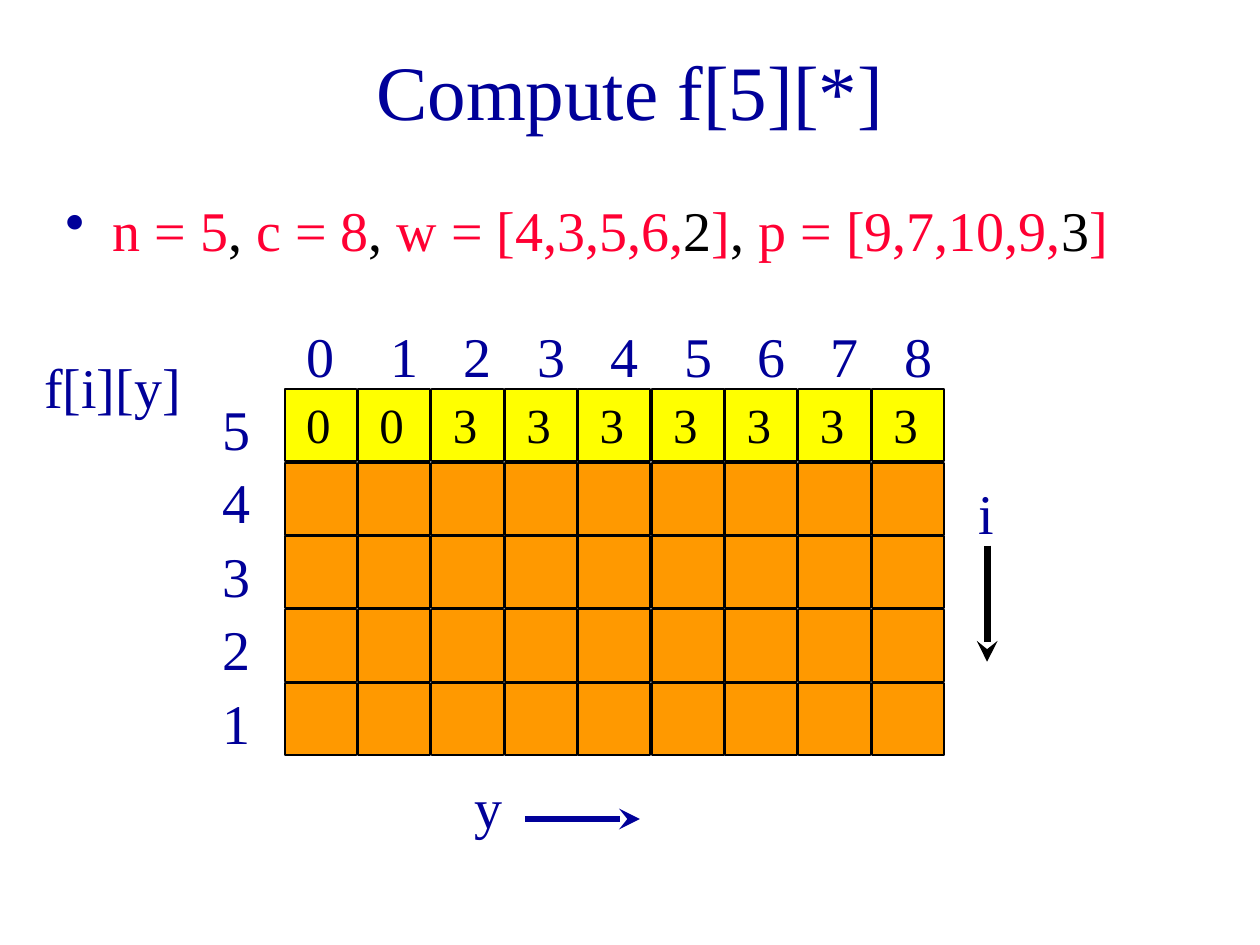
from lxml.etree import SubElement
from pptx import Presentation
from pptx.dml.color import RGBColor
from pptx.enum.shapes import MSO_CONNECTOR, MSO_SHAPE
from pptx.enum.text import MSO_ANCHOR, PP_ALIGN
from pptx.oxml.ns import qn
from pptx.util import Cm, Pt

NAVY = RGBColor(0x00, 0x00, 0x99)
RED = RGBColor(0xFF, 0x00, 0x33)
BLACK = RGBColor(0x00, 0x00, 0x00)
ORANGE = RGBColor(0xFF, 0x99, 0x00)
YELLOW = RGBColor(0xFF, 0xFF, 0x00)
FONT = "Times New Roman"

STEP = 1.48  # distance between neighbouring cells, cm
SIDE = 1.45
LEFT, TOP = 5.74, 7.85

deck = Presentation()
deck.slide_width, deck.slide_height = Cm(25.4), Cm(19.05)
slide = deck.slides.add_slide(deck.slide_layouts[5])
shapes = slide.shapes


def label(text, x, y, w=1.24, h=1.6, size=32, color=NAVY):
    """Add a one-paragraph text box and return the paragraph."""
    box = shapes.add_textbox(Cm(x), Cm(y), Cm(w), Cm(h))
    box.text_frame.word_wrap = True
    para = box.text_frame.paragraphs[0]
    para.text = text
    para.font.name = FONT
    para.font.size = Pt(size)
    para.font.color.rgb = color
    return para


def arrow(x1, y1, x2, y2, color):
    line = shapes.add_connector(MSO_CONNECTOR.STRAIGHT, Cm(x1), Cm(y1), Cm(x2), Cm(y2))
    line.line.color.rgb = color
    line.line.width = Pt(4)
    SubElement(line.line._get_or_add_ln(), qn("a:tailEnd"), type="stealth")
    SubElement(line._element.spPr, qn("a:effectLst"))


# Title
title = shapes.title
title.left, title.top, title.width, title.height = Cm(1.9), Cm(0.43), Cm(21.6), Cm(2.74)
title.text_frame.vertical_anchor = MSO_ANCHOR.MIDDLE
head = title.text_frame.paragraphs[0]
head.text = "Compute f[5][*]"
head.alignment = PP_ALIGN.CENTER
head.font.name = FONT
head.font.size = Pt(44)
head.font.color.rgb = NAVY

# Bulleted problem data
data = label("", 1.07, 3.81, 23.5, 1.7)
data.space_before = Pt(8)
props = data._p.get_or_add_pPr()
props.set("marL", str(Cm(0.95)))
props.set("indent", str(-Cm(0.95)))
tint = SubElement(props, qn("a:buClr"))
SubElement(tint, qn("a:srgbClr"), val=str(NAVY))
SubElement(props, qn("a:buChar"), char="•")
props.append(props.find(qn("a:defRPr")))  # the schema wants bullets before it
parts = [
    ("n = 5", RED), (", ", BLACK), ("c = 8", RED), (", ", BLACK),
    ("w = [4,3,5,6,", RED), ("2", BLACK), ("]", RED), (", ", BLACK),
    ("p = [9,7,10,9,", RED), ("3", BLACK), ("]", RED),
]
for text, color in parts:
    run = data.add_run()
    run.text = text
    run.font.name = FONT
    run.font.size = Pt(32)
    run.font.color.rgb = color

# Table cells, with the computed row on top
for row in range(5):
    for col in range(9):
        cell = shapes.add_shape(
            MSO_SHAPE.RECTANGLE, Cm(LEFT + col * STEP), Cm(TOP + row * STEP), Cm(SIDE), Cm(SIDE)
        )
        cell.shadow.inherit = False
        cell.fill.solid()
        cell.fill.fore_color.rgb = ORANGE if row else YELLOW
        cell.line.color.rgb = BLACK
        cell.line.width = Pt(1)

for col, value in enumerate("003333333"):
    label(value, 5.92 + col * STEP, 7.83, 0.84, 1.45, 28, BLACK)

# Row and column numbers
for row in range(5):
    label(str(5 - row), 4.24, 7.83 + row * STEP)
for col in range(9):
    label(str(col), 6.14 + col * STEP if col else 5.92, 6.35)

# Names and directions of the axes
label("f[i][y]", 0.64, 6.99, 3.6)
label("y", 9.32, 15.45)
arrow(10.58, 16.51, 12.9, 16.51, NAVY)
label("i", 19.47, 9.53, 1.06)
arrow(19.9, 11, 19.9, 13.34, BLACK)

deck.save("out.pptx")
